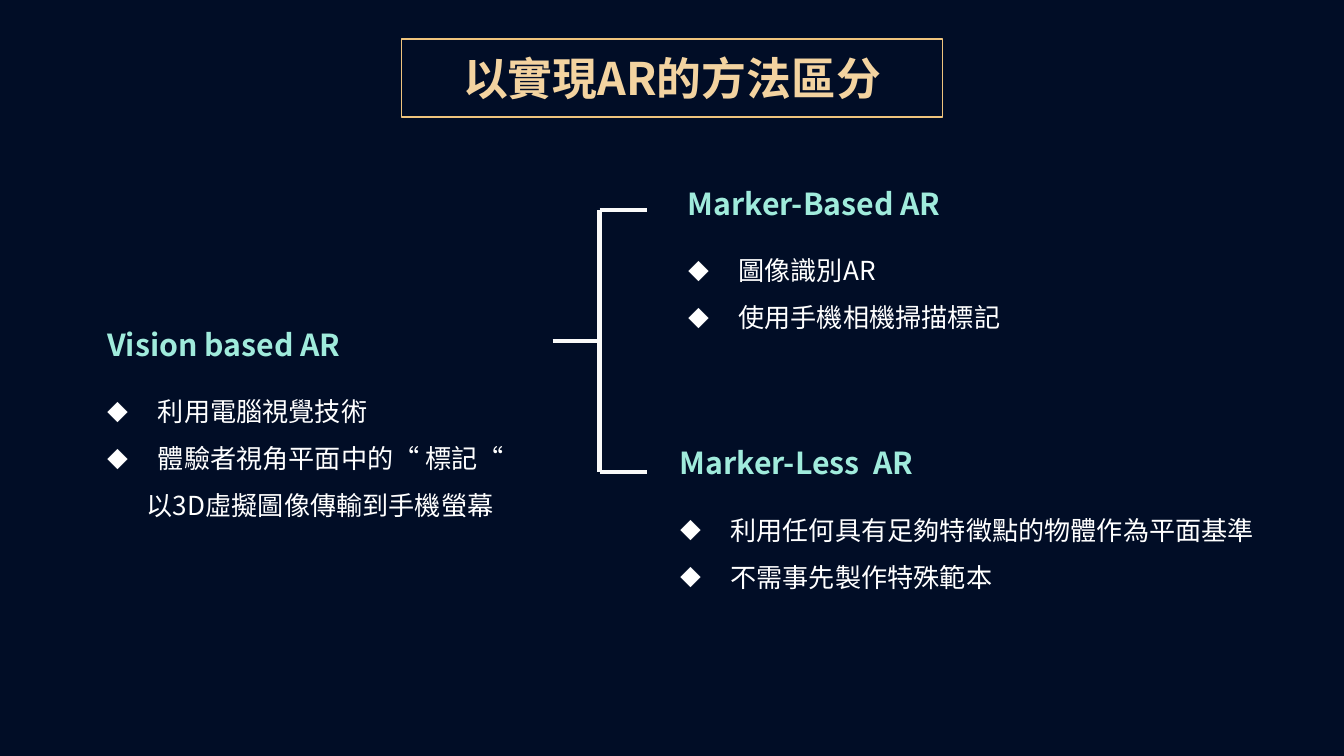
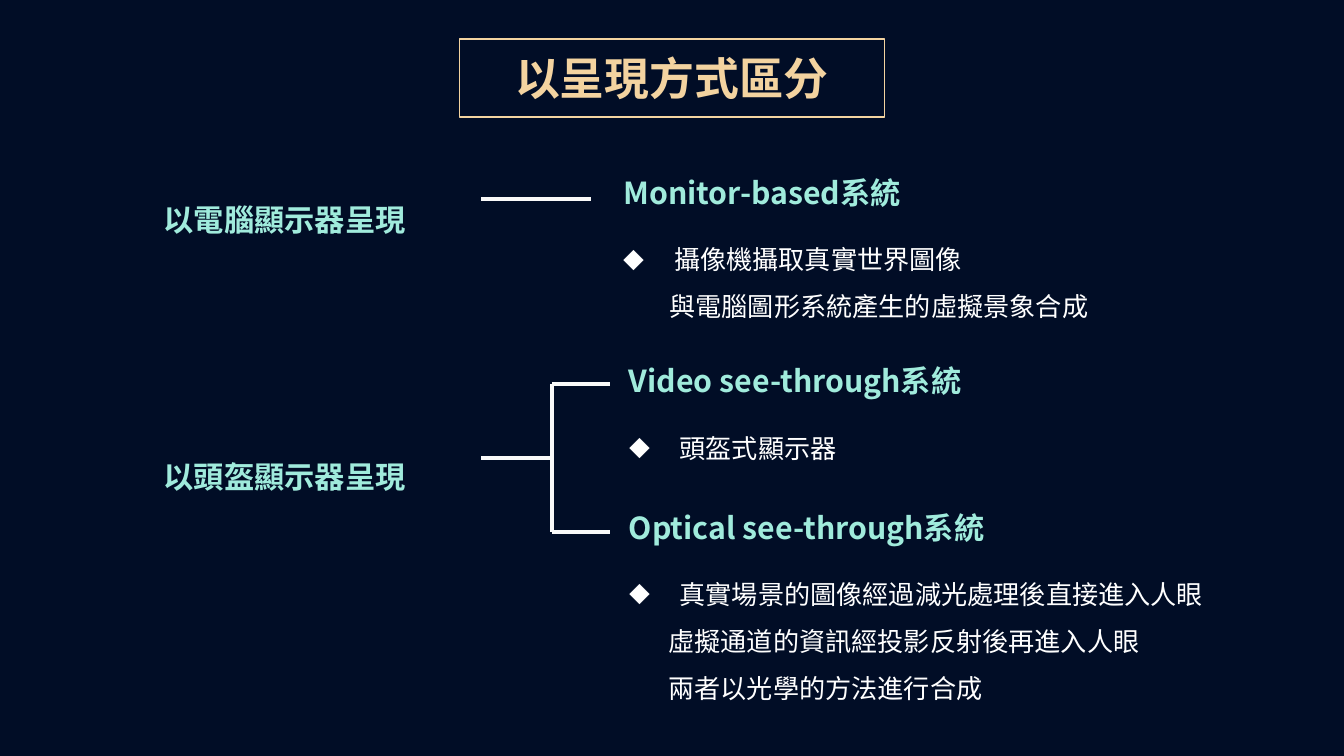
from dataclasses import dataclass

from lxml import etree
from pptx import Presentation
from pptx.dml.color import RGBColor
from pptx.enum import shapes, text
from pptx.oxml import ns
from pptx.util import Pt

SLIDE_W, SLIDE_H = 720, 405
FONT = "Noto Sans CJK SC"
NAVY, GOLD, DEEP_GOLD = "010D26", "F3D3A0", "EFC47D"
MINT, WHITE, LINE_WHITE = "A0EBDC", "FFFFFF", "F9F9F9"
LIST_DROP = 37.2    # from the top of a heading to the top of its list
BULLET_INDENT = 27


@dataclass
class Heading:
    x: float
    y: float
    w: float
    words: str
    h: float = 33
    spacing: float | None = 28


@dataclass
class Topic:
    """A heading with a list below it; the first `bullets` lines have a bullet."""
    heading: Heading
    list_w: float
    lines: list[str]
    bullets: int = 1
    hang: float = 21


@dataclass
class Bracket:
    """A stem that forks into two equal arms."""
    left: float
    spine: float
    right: float
    top: float
    bottom: float


@dataclass
class Page:
    title: str
    title_w: float
    border: str
    topics: list[Topic]
    bracket: Bracket
    side_headings: list[Heading]
    lines: list[tuple[float, float, float, float]]


PAGES = [
    Page(
        "以實現AR的方法區分", 290, DEEP_GOLD,
        [
            Topic(Heading(50.4, 162.7, 165.6, "Vision based AR", h=60.5), 344.2,
                  ["利用電腦視覺技術", "體驗者視角平面中的“ 標記“",
                   "以3D虛擬圖像傳輸到手機螢幕"], bullets=2),
            Topic(Heading(361.4, 87.1, 175, "Marker-Based AR"), 316,
                  ["圖像識別AR", "使用手機相機掃描標記"], bullets=2),
            Topic(Heading(357.1, 226.1, 177, "Marker-Less  AR", h=60.5), 368.6,
                  ["利用任何具有足夠特徵點的物體作為平面基準",
                   "不需事先製作特殊範本"], bullets=2),
        ],
        Bracket(296, 321.2, 346.6, 112.4, 252.8), [], [],
    ),
    Page(
        "以呈現方式區分", 227.5, GOLD,
        [
            Topic(Heading(326.9, 81.4, 221, "Monitor-based系統"), 358.6,
                  ["攝像機攝取真實世界圖像", "與電腦圖形系統產生的虛擬景象合成"],
                  hang=24.5),
            Topic(Heading(329.8, 182.2, 239.8, "Video see-through系統"), 358.6,
                  ["頭盔式顯示器"]),
            Topic(Heading(329.8, 260.6, 354.2, "Optical see-through系統"), 437.8,
                  ["真實場景的圖像經過減光處理後直接進入人眼",
                   "虛擬通道的資訊經投影反射後再進入人眼",
                   "兩者以光學的方法進行合成"]),
        ],
        Bracket(257.8, 295.9, 326.9, 205.8, 285.2),
        [Heading(80.6, 85.7, 165.6, "以電腦顯示器呈現", 30.2, None),
         Heading(80.6, 223.2, 183.6, "以頭盔顯示器呈現", 30.2, None)],
        [(257.8, 106.6, 316.8, 106.6)],
    ),
]


def rgb(value: str) -> RGBColor:
    return RGBColor.from_string(value)


def place(sp, x: float, y: float, w: float, h: float) -> None:
    sp.left, sp.top, sp.width, sp.height = Pt(x), Pt(y), Pt(w), Pt(h)


def add_run(p, words: str, size: float, color: str, bold: bool = False):
    r = p.add_run()
    r.text = words
    r.font.size, r.font.bold, r.font.name = Pt(size), bold, FONT
    r.font.color.rgb = rgb(color)
    ea = etree.SubElement(r._r.get_or_add_rPr(), ns.qn("a:ea"))
    ea.set("typeface", FONT)
    return r


def set_bullet(p, bulleted: bool, hang: float) -> None:
    pPr = p._p.get_or_add_pPr()
    pPr.set("marL", str(Pt(BULLET_INDENT if bulleted else hang)))
    pPr.set("indent", str(Pt(-BULLET_INDENT if bulleted else 0)))
    if not bulleted:
        etree.SubElement(pPr, ns.qn("a:buNone"))
        return
    clr = etree.SubElement(pPr, ns.qn("a:buClr"))
    etree.SubElement(clr, ns.qn("a:srgbClr")).set("val", WHITE)
    etree.SubElement(pPr, ns.qn("a:buSzPct")).set("val", "80000")
    etree.SubElement(pPr, ns.qn("a:buFont")).set("typeface", FONT)
    etree.SubElement(pPr, ns.qn("a:buChar")).set("char", "◆")


def fit_text(tf) -> None:
    tf.word_wrap = True
    tf.auto_size = text.MSO_AUTO_SIZE.SHAPE_TO_FIT_TEXT
    tf.vertical_anchor = text.MSO_ANCHOR.TOP


def draw_title(slide, page: Page) -> None:
    sp = slide.shapes.title
    place(sp, (SLIDE_W - page.title_w) / 2, 20.9, page.title_w, 41.8)
    sp.line.color.rgb, sp.line.width = rgb(page.border), Pt(0.75)
    tf = sp.text_frame
    tf.auto_size = text.MSO_AUTO_SIZE.NONE
    tf.vertical_anchor = text.MSO_ANCHOR.MIDDLE
    tf.margin_left = tf.margin_right = tf.margin_top = tf.margin_bottom = Pt(7.2)
    p = tf.paragraphs[0]
    p.alignment = text.PP_ALIGN.CENTER
    add_run(p, page.title, 24, GOLD, bold=True)


def draw_heading(slide, item: Heading) -> None:
    sp = slide.shapes.add_textbox(Pt(item.x), Pt(item.y), Pt(item.w), Pt(item.h))
    fit_text(sp.text_frame)
    p = sp.text_frame.paragraphs[0]
    if item.spacing:
        p.line_spacing = Pt(item.spacing)
    r = add_run(p, item.words, 28, MINT, bold=True)
    r._r.get_or_add_rPr().set("baseline", "-25000")


def draw_topic(slide, topic: Topic, body) -> None:
    draw_heading(slide, topic.heading)
    place(body, topic.heading.x, topic.heading.y + LIST_DROP,
          topic.list_w, 25.5 * len(topic.lines) + 4)
    tf = body.text_frame
    fit_text(tf)
    for i, words in enumerate(topic.lines):
        p = tf.add_paragraph() if i else tf.paragraphs[0]
        set_bullet(p, i < topic.bullets, topic.hang)
        p.line_spacing, p.space_before = 1.5, Pt(0)
        add_run(p, words, 14, WHITE)


def draw_line(slide, x1: float, y1: float, x2: float, y2: float) -> None:
    line = slide.shapes.add_connector(
        shapes.MSO_CONNECTOR.STRAIGHT, Pt(x1), Pt(y1), Pt(x2), Pt(y2))
    line.line.color.rgb, line.line.width = rgb(LINE_WHITE), Pt(2.25)
    etree.SubElement(line._element.spPr, ns.qn("a:effectLst"))


def draw_bracket(slide, b: Bracket) -> None:
    middle = (b.top + b.bottom) / 2
    draw_line(slide, b.left, middle, b.spine, middle)
    draw_line(slide, b.spine, b.top, b.spine, b.bottom)
    for y in (b.top, b.bottom):
        draw_line(slide, b.spine, y, b.right, y)


def draw_page(prs, page: Page) -> None:
    slide = prs.slides.add_slide(prs.slide_layouts.get_by_name("Comparison"))
    slide.background.fill.solid()
    slide.background.fill.fore_color.rgb = rgb(NAVY)
    draw_title(slide, page)
    bodies = [sp for sp in slide.placeholders if sp.placeholder_format.idx in range(1, 5)]
    for topic, body in zip(page.topics, bodies):
        draw_topic(slide, topic, body)
    for spare in bodies[len(page.topics):]:
        spare._element.getparent().remove(spare._element)
    for heading in page.side_headings:
        draw_heading(slide, heading)
    draw_bracket(slide, page.bracket)
    for ends in page.lines:
        draw_line(slide, *ends)


def main() -> None:
    prs = Presentation()
    prs.slide_width, prs.slide_height = Pt(SLIDE_W), Pt(SLIDE_H)
    for page in PAGES:
        draw_page(prs, page)
    prs.save("out.pptx")


if __name__ == "__main__":
    main()
